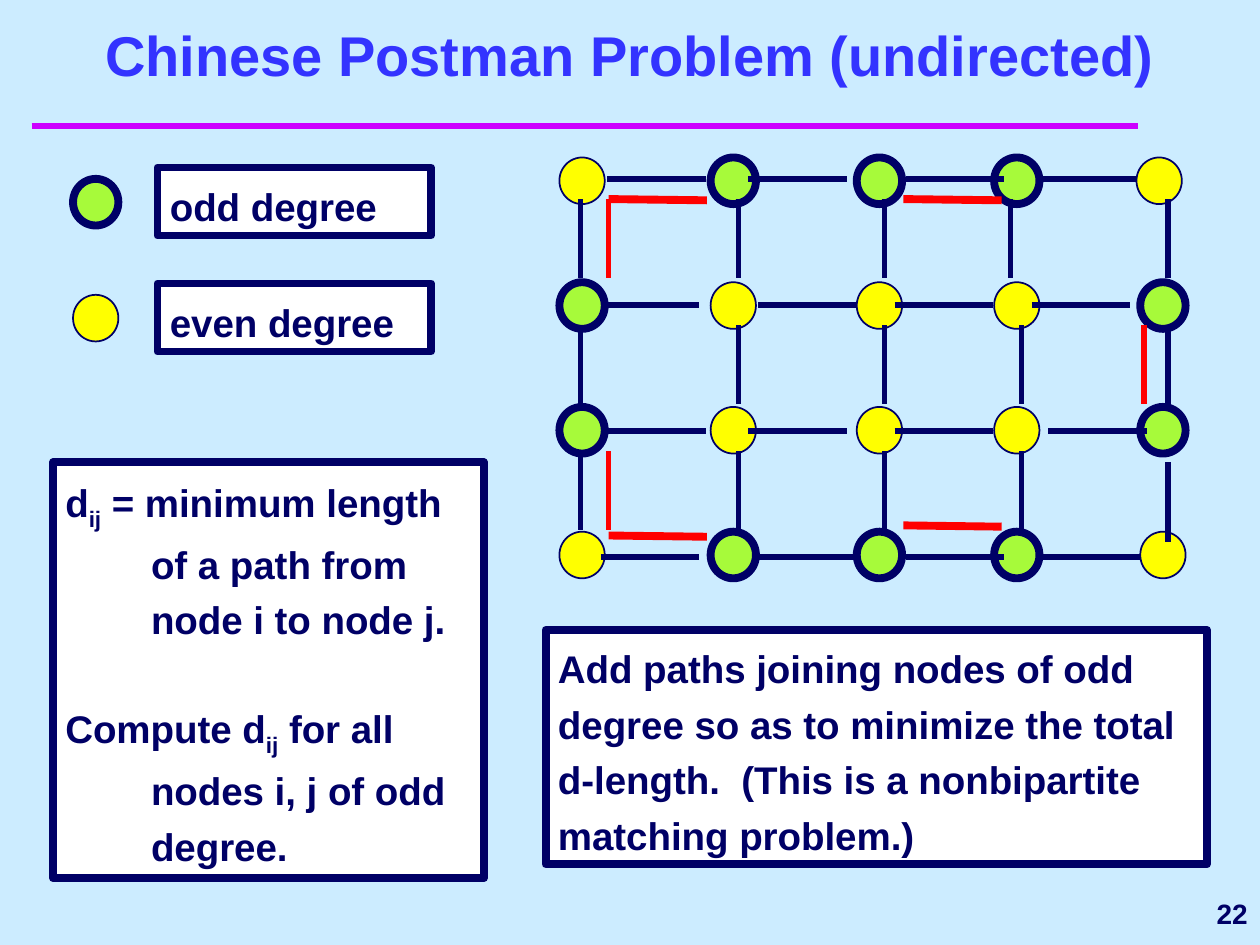
from lxml.etree import SubElement
from pptx import Presentation
from pptx.dml.color import RGBColor
from pptx.enum.shapes import MSO_CONNECTOR, MSO_SHAPE
from pptx.enum.text import MSO_ANCHOR, PP_ALIGN
from pptx.oxml.ns import qn
from pptx.util import Inches, Pt

NAVY, WHITE, RED = "000066", "FFFFFF", "FF0000"
GREEN, YELLOW = "A7FA3A", "FFFF00"
NODE_W, NODE_H = 0.36, 0.37


def color(value):
    return RGBColor.from_string(value)


def add_run(p, text, size=22, fill=NAVY, subscript=False):
    r = p.add_run()
    r.text = text
    font = r.font
    font.name, font.size, font.bold = "Arial", Pt(size), True
    font.color.rgb = color(fill)
    if subscript:
        font._element.set("baseline", "-25000")


def add_line(s, x1, y1, x2, y2, stroke=NAVY, width=3):
    line = s.shapes.add_connector(
        MSO_CONNECTOR.STRAIGHT, Inches(x1), Inches(y1), Inches(x2), Inches(y2))
    line.line.color.rgb = color(stroke)
    line.line.width = Pt(width)
    SubElement(line._element.spPr, qn("a:effectLst"))


def add_shape(s, kind, x, y, w, h, fill, width):
    sp = s.shapes.add_shape(kind, Inches(x), Inches(y), Inches(w), Inches(h))
    sp.shadow.inherit = False
    sp.fill.solid()
    sp.fill.fore_color.rgb = color(fill)
    sp.line.color.rgb = color(NAVY)
    sp.line.width = Pt(width)
    return sp


def add_node(s, x, y, odd):
    add_shape(s, MSO_SHAPE.OVAL, x, y, NODE_W, NODE_H,
              GREEN if odd else YELLOW, 4.5 if odd else 1)


def add_box(s, x, y, w, h, paragraphs, hanging=0):
    """Each paragraph is a list of (text, is_subscript) pairs."""
    sp = add_shape(s, MSO_SHAPE.RECTANGLE, x, y, w, h, WHITE, 4.5)
    tf = sp.text_frame
    tf.word_wrap = True
    tf.vertical_anchor = MSO_ANCHOR.TOP
    for i, parts in enumerate(paragraphs):
        p = tf.add_paragraph() if i else tf.paragraphs[0]
        p.alignment, p.line_spacing = PP_ALIGN.LEFT, 1.2
        if i:
            p.space_before = Pt(30)
        if hanging:
            pPr = p._p.get_or_add_pPr()
            pPr.set("marL", str(Inches(hanging)))
            pPr.set("indent", str(-Inches(hanging)))
        for text, subscript in parts:
            for n, piece in enumerate(text.split("\n")):
                if n:
                    p.add_line_break()
                add_run(p, piece, subscript=subscript)


def add_header(s, x, y, w, h):
    title = s.shapes.title
    title.left, title.top = Inches(x), Inches(y)
    title.width, title.height = Inches(w), Inches(h)
    tf = title.text_frame
    tf.word_wrap = True
    tf.vertical_anchor = MSO_ANCHOR.BOTTOM
    p = tf.paragraphs[0]
    p.alignment = PP_ALIGN.CENTER
    add_run(p, "Chinese Postman Problem (undirected)", size=32, fill="3333FF")
    add_line(s, x + 0.25, y + 0.83, x + 9.03, y + 0.83, "CC00FF", 4)


def add_page_number(s, x, y, w, h):
    tf = s.shapes.add_textbox(Inches(x), Inches(y), Inches(w), Inches(h)).text_frame
    tf.word_wrap = True
    tf.vertical_anchor = MSO_ANCHOR.MIDDLE
    p = tf.paragraphs[0]
    p.alignment = PP_ALIGN.RIGHT
    add_run(p, "22", size=16)


def add_legend(s, x, y):
    for i, (label, odd) in enumerate([("odd degree", True), ("even degree", False)]):
        top = y + i * 0.92
        add_node(s, x, top + 0.09, odd)
        add_box(s, x + 0.67, top, 2.17, 0.54, [[(label, False)]])


def add_graph(s, x, y):
    # Nodes: O = odd degree, E = even degree
    columns = [0, 1.2, 2.36, 3.45, 4.61]
    for row, degrees in enumerate(["EOOOE", "OEEEO", "OEEEO", "EOOOE"]):
        for col, degree in enumerate(degrees):
            shift = -0.03 if (row, col) == (0, 4) else 0
            add_node(s, x + columns[col] + shift, y + row * 0.99, degree == "O")

    # Horizontal edges: left ends, row by row
    starts = [[0.38, 1.5, 2.75, 3.8],
              [0.33, 1.58, 2.66, 3.75],
              [0.38, 1.5, 2.66, 3.88],
              [0.33, 1.58, 2.75, 3.83]]
    for row, lefts in enumerate(starts):
        edge_y = y + 0.17 + row
        for left in lefts:
            add_line(s, x + left, edge_y, x + left + 0.78, edge_y)

    # Vertical edges
    for row in range(3):
        for col, left in enumerate([0.17, 1.42, 2.58, 3.67, 4.83]):
            edge_x = x + left - (0.09 if (row, col) == (0, 3) else 0)
            top = y + 0.33 + row + (0.09 if (row, col) == (2, 4) else 0)
            add_line(s, edge_x, top, edge_x, top + 0.63)

    # Added paths that join the odd nodes
    for left, top in [(0.39, 0.33), (2.73, 0.33), (0.39, 3), (2.73, 2.92)]:
        add_line(s, x + left, y + top, x + left + 0.78, y + top + 0.01, RED, 4.5)
    for left, top in [(0.39, 0.33), (0.39, 2.33), (4.64, 1.33)]:
        add_line(s, x + left, y + top, x + left, y + top + 0.63, RED, 3)


def main():
    prs = Presentation()
    prs.slide_width, prs.slide_height = Inches(10), Inches(7.5)
    s = prs.slides.add_slide(prs.slide_layouts[5])
    s.background.fill.solid()
    s.background.fill.fore_color.rgb = color("CCECFF")

    add_header(s, 0, 0.17, 10, 0.58)
    add_page_number(s, 8.08, 7, 1.92, 0.5)
    add_graph(s, 4.44, 1.25)
    add_legend(s, 0.58, 1.33)

    # Distance definition
    add_box(s, 0.42, 3.67, 3.42, 3.3, [
        [("d", False), ("ij", True),
         (" = minimum length\nof a path from\nnode i to node j.", False)],
        [("Compute d", False), ("ij", True),
         (" for all\nnodes i, j of odd\ndegree.", False)],
    ], hanging=0.68)

    # Matching step
    add_box(s, 4.33, 5, 5.25, 1.86, [[(
        "Add paths joining nodes of odd degree so as to minimize the total "
        "d-length.  (This is a nonbipartite matching problem.)", False)]])

    prs.save("out.pptx")


if __name__ == "__main__":
    main()
